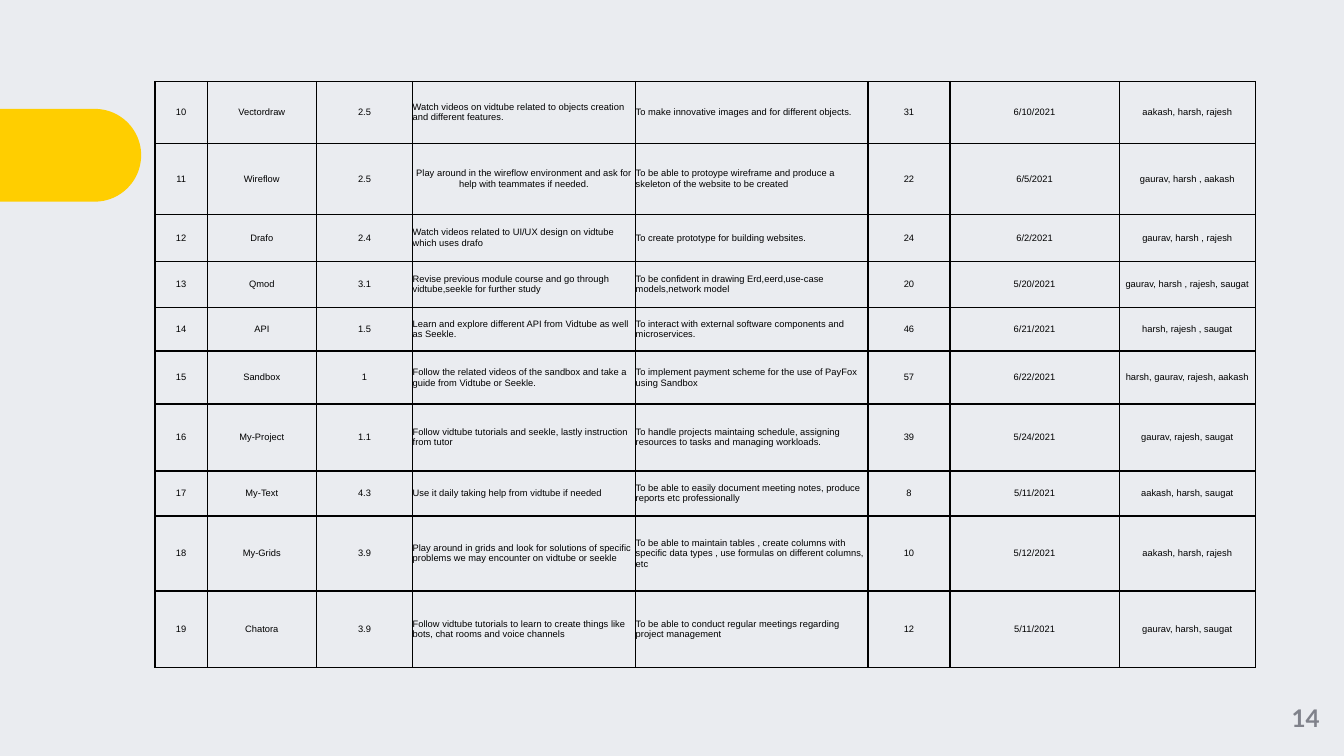
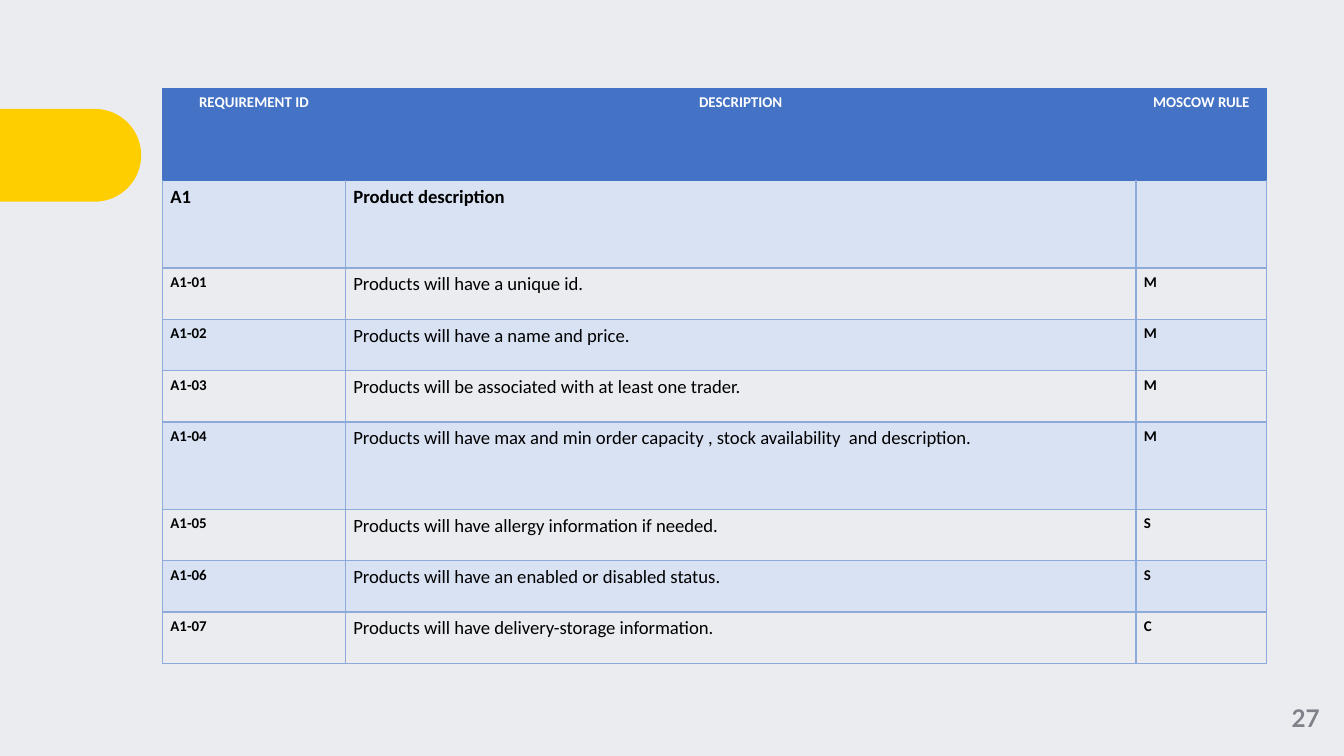
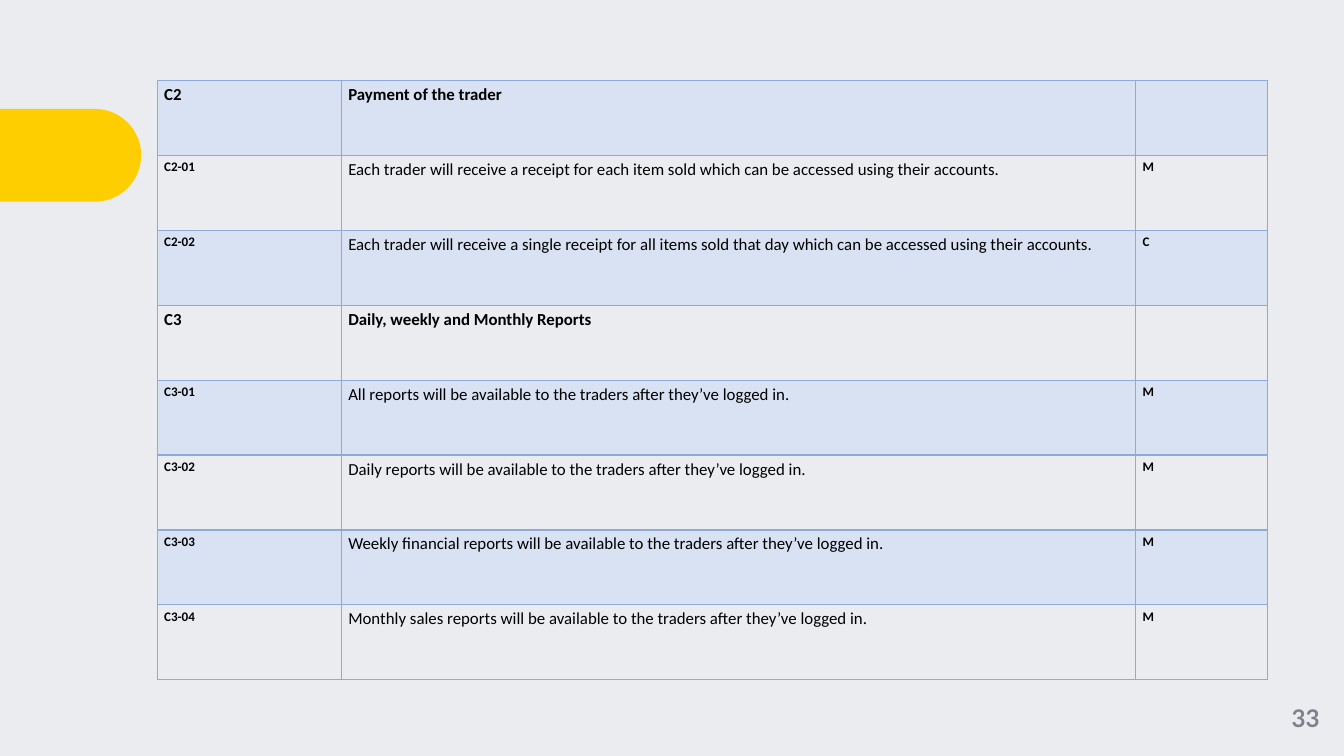
import lxml.etree
import pptx
import pptx.dml.color
import pptx.enum.shapes
import pptx.enum.text
import pptx.oxml.ns
import pptx.util

Pt = pptx.util.Pt
RGB = pptx.dml.color.RGBColor.from_string
CENTER = pptx.enum.text.PP_ALIGN.CENTER
LEFT = pptx.enum.text.PP_ALIGN.LEFT
MIDDLE = pptx.enum.text.MSO_ANCHOR.MIDDLE
TOP = pptx.enum.text.MSO_ANCHOR.TOP

THEME = {
    "background": "EAECF0",
    "accent": "FFCE00",
    "ink": "000000",
    "header": "4472C4",
    "header_ink": "FFFFFF",
    "stripe": "D9E2F3",
    "rule": "8EAADB",
    "page_ink": "80828B",
    "rule_width": 0.75,
    "page_font": {"name": "Lato", "size": Pt(13), "bold": True},
    "skill_font": {"name": "Arial", "size": Pt(5), "bold": False},
    "requirement_font": "Calibri",
}

deck = pptx.Presentation()
deck.slide_width, deck.slide_height = Pt(720), Pt(405)
deck.slide_master.background.fill.solid()
deck.slide_master.background.fill.fore_color.rgb = RGB(THEME["background"])
blank_layout = deck.slide_layouts[6]


def write(frame, text, align, ink, font_values):
    paragraph = frame.paragraphs[0]
    paragraph.alignment = align
    run = paragraph.add_run()
    run.text = text
    run.font.color.rgb = RGB(ink)
    for name, value in font_values.items():
        setattr(run.font, name, value)


def rule_cell(cell, fill, edges, margins, anchor):
    """Draw the edges (left, right, top, bottom), then the fill and insets."""
    properties = cell._tc.get_or_add_tcPr()
    for side, color in zip("LRTB", edges):
        line = lxml.etree.SubElement(
            properties, pptx.oxml.ns.qn("a:ln" + side), w=str(Pt(THEME["rule_width"])))
        paint = lxml.etree.SubElement(line, pptx.oxml.ns.qn("a:solidFill"))
        lxml.etree.SubElement(paint, pptx.oxml.ns.qn("a:srgbClr"), val=color)
    if fill:
        cell.fill.solid()
        cell.fill.fore_color.rgb = RGB(fill)
    else:
        cell.fill.background()
    across, down = margins
    cell.margin_left = cell.margin_right = Pt(across)
    cell.margin_top = cell.margin_bottom = Pt(down)
    cell.vertical_anchor = anchor


skills = [
    ("10", "Vectordraw", "2.5",
     "Watch videos on vidtube related to objects creation and different features.",
     "To make innovative images and for different objects.",
     "31", "6/10/2021", "aakash, harsh, rajesh"),
    ("11", "Wireflow", "2.5",
     "Play around in the wireflow environment and ask for help with teammates if needed.",
     "To be able to protoype wireframe and produce a skeleton of the website to be created",
     "22", "6/5/2021", "gaurav, harsh , aakash"),
    ("12", "Drafo", "2.4",
     "Watch videos related to UI/UX design on vidtube which uses drafo",
     "To create prototype for building websites.",
     "24", "6/2/2021", "gaurav, harsh , rajesh"),
    ("13", "Qmod", "3.1",
     "Revise previous module course and go through vidtube,seekle for further study",
     "To be confident in drawing Erd,eerd,use-case models,network model",
     "20", "5/20/2021", "gaurav, harsh , rajesh, saugat"),
    ("14", "API", "1.5",
     "Learn and explore different API from Vidtube as well as Seekle.",
     "To interact with external software components and microservices.",
     "46", "6/21/2021", "harsh, rajesh , saugat"),
    ("15", "Sandbox", "1",
     "Follow the related videos of the sandbox and take a guide from Vidtube or Seekle.",
     "To implement payment scheme for the use of PayFox using Sandbox",
     "57", "6/22/2021", "harsh, gaurav, rajesh, aakash"),
    ("16", "My-Project", "1.1",
     "Follow vidtube tutorials and seekle, lastly instruction from tutor",
     "To handle projects maintaing schedule, assigning resources to tasks and managing workloads.",
     "39", "5/24/2021", "gaurav, rajesh, saugat"),
    ("17", "My-Text", "4.3",
     "Use it daily taking help from vidtube if needed",
     "To be able to easily document meeting notes, produce reports etc professionally",
     "8", "5/11/2021", "aakash, harsh, saugat"),
    ("18", "My-Grids", "3.9",
     "Play around in grids and look for solutions of specific problems we may encounter on vidtube or seekle",
     "To be able to maintain tables , create columns with specific data types , "
     "use formulas on different columns, etc",
     "10", "5/12/2021", "aakash, harsh, rajesh"),
    ("19", "Chatora", "3.9",
     "Follow vidtube tutorials to learn to create things like bots, chat rooms and voice channels",
     "To be able to conduct regular meetings regarding project management",
     "12", "5/11/2021", "gaurav, harsh, saugat"),
]

product_requirements = [
    ("REQUIREMENT ID", "DESCRIPTION", "MOSCOW RULE"),
    ("A1", "Product description", ""),
    ("A1-01", "Products will have a unique id.", "M"),
    ("A1-02", "Products will have a name and price.", "M"),
    ("A1-03", "Products will be associated with at least one trader.", "M"),
    ("A1-04", "Products will have max and min order capacity , stock availability  and description.", "M"),
    ("A1-05", "Products will have allergy information if needed.", "S"),
    ("A1-06", "Products will have an enabled or disabled status.", "S"),
    ("A1-07", "Products will have delivery-storage information.", "C"),
]

trader_requirements = [
    ("C2", "Payment of the trader", ""),
    ("C2-01", "Each trader will receive a receipt for each item sold "
              "which can be accessed using their accounts.", "M"),
    ("C2-02", "Each trader will receive a single receipt for all items sold that day "
              "which can be accessed using their accounts.", "C"),
    ("C3", "Daily, weekly and Monthly Reports", ""),
    ("C3-01", "All reports will be available to the traders after they’ve logged in.", "M"),
    ("C3-02", "Daily reports will be available to the traders after they’ve logged in.", "M"),
    ("C3-03", "Weekly financial reports will be available to the traders after they’ve logged in.", "M"),
    ("C3-04", "Monthly sales reports will be available to the traders after they’ve logged in.", "M"),
]

pages = [
    {"number": "14", "entries": skills, "corner": (83, 43.6),
     "widths": [28.1, 58.4, 51.6, 119.5, 124.5, 43.9, 90.7, 73],
     "heights": [33.2, 38, 25.2, 24.6, 23.5, 28.4, 35.9, 24.1, 40.2, 40.8]},
    {"number": "27", "entries": product_requirements, "corner": (87.1, 47.3),
     "widths": [98, 423.5, 70],
     "heights": [49.5, 46.8] + [27.5] * 3 + [46.8] + [27.5] * 3,
     "margins": (4.2, 2.8), "text_size": 10, "code_size": 8},
    {"number": "33", "entries": trader_requirements, "corner": (84.4, 43.1),
     "widths": [98.6, 425.5, 70.4], "heights": [40.15] * 8,
     "margins": (3.6, 2.2), "text_size": 9, "code_size": 7},
]

for page in pages:
    slide = deck.slides.add_slide(blank_layout)

    tab = slide.shapes.add_shape(
        pptx.enum.shapes.MSO_SHAPE.ROUND_2_SAME_RECTANGLE,
        Pt(12.95), Pt(45.4), Pt(49.7), Pt(75.6))
    tab.adjustments[0], tab.adjustments[1] = 0.5, 0
    tab.rotation = 90
    tab.shadow.inherit = False
    tab.fill.solid()
    tab.fill.fore_color.rgb = RGB(THEME["accent"])
    tab.line.fill.background()

    page_frame = slide.shapes.add_textbox(Pt(679), Pt(364.5), Pt(41), Pt(40.5)).text_frame
    frame_values = {"word_wrap": True, "vertical_anchor": MIDDLE, "margin_left": 0,
                    "margin_right": 0, "margin_top": 0, "margin_bottom": 0}
    for name, value in frame_values.items():
        setattr(page_frame, name, value)
    write(page_frame, page["number"], CENTER, THEME["page_ink"], THEME["page_font"])

    entries, widths, heights = page["entries"], page["widths"], page["heights"]
    left, top = page["corner"]
    table = slide.shapes.add_table(
        len(heights), len(widths), Pt(left), Pt(top), Pt(sum(widths)), Pt(sum(heights))).table
    table.first_row = table.horz_banding = False
    for column, width in zip(table.columns, widths):
        column.width = Pt(width)
    for row, height in zip(table.rows, heights):
        row.height = Pt(height)

    if entries is skills:
        for row_index, skill in enumerate(skills):
            for column_index, text in enumerate(skill):
                cell = table.cell(row_index, column_index)
                rule_cell(cell, None, [THEME["ink"]] * 4, (0, 0), MIDDLE)
                sentence = column_index in (3, 4) and (skill[0], column_index) != ("11", 3)
                write(cell.text_frame, text, LEFT if sentence else CENTER,
                      THEME["ink"], THEME["skill_font"])
        continue

    has_header = entries is product_requirements
    for row_index, requirement in enumerate(entries):
        is_header = has_header and row_index == 0
        is_group = not is_header and "-" not in requirement[0]
        striped = row_index % 2 == (1 if has_header else 0)
        fill = THEME["header"] if is_header else THEME["stripe"] if striped else None
        edge = THEME["header"] if is_header else THEME["rule"]
        top_edge = THEME["header"] if has_header and row_index <= 1 else edge
        for column_index, text in enumerate(requirement):
            cell = table.cell(row_index, column_index)
            rule_cell(cell, fill, [edge, edge, top_edge, edge], page["margins"], TOP)
            if not text:
                continue
            is_description = column_index == 1 and not is_header
            large = is_group or is_description
            write(cell.text_frame, text, CENTER if is_header else LEFT,
                  THEME["header_ink"] if is_header else THEME["ink"],
                  {"name": THEME["requirement_font"],
                   "size": Pt(page["text_size"] if large else page["code_size"]),
                   "bold": is_group or not is_description})

deck.save("out.pptx")
